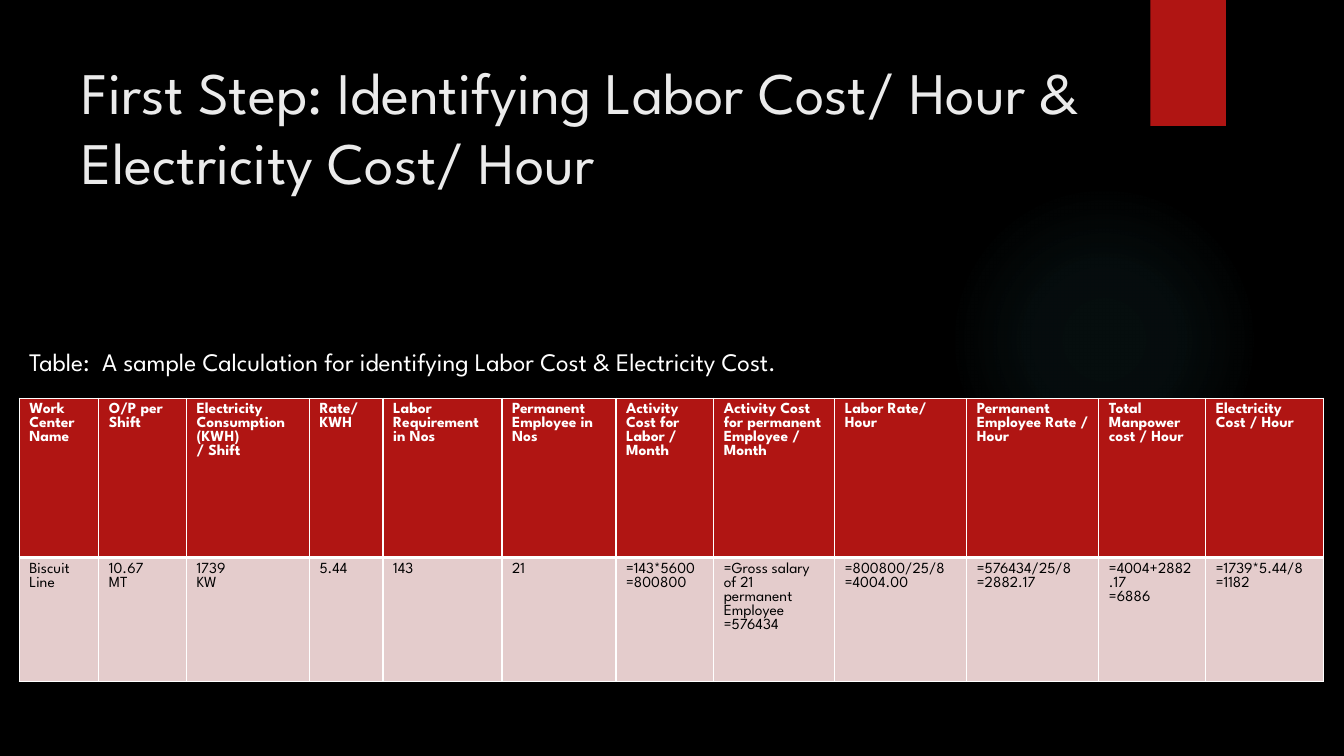
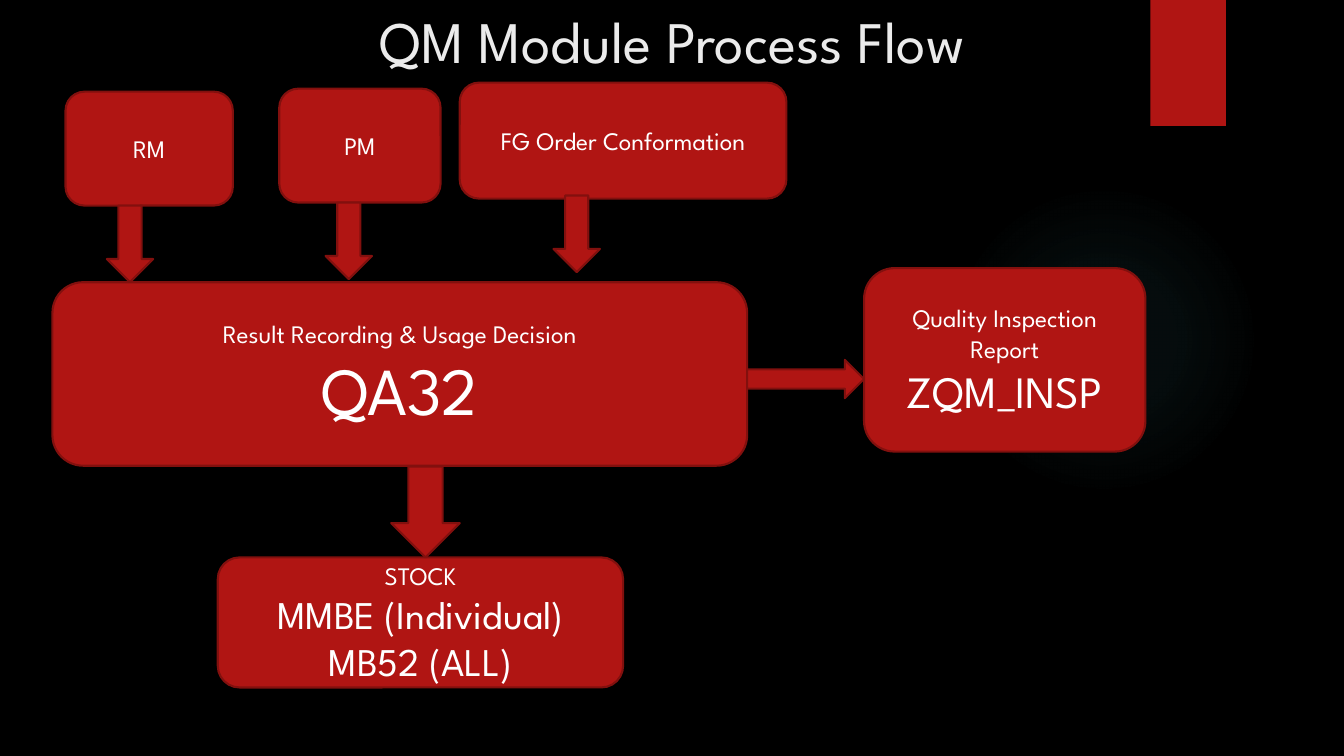
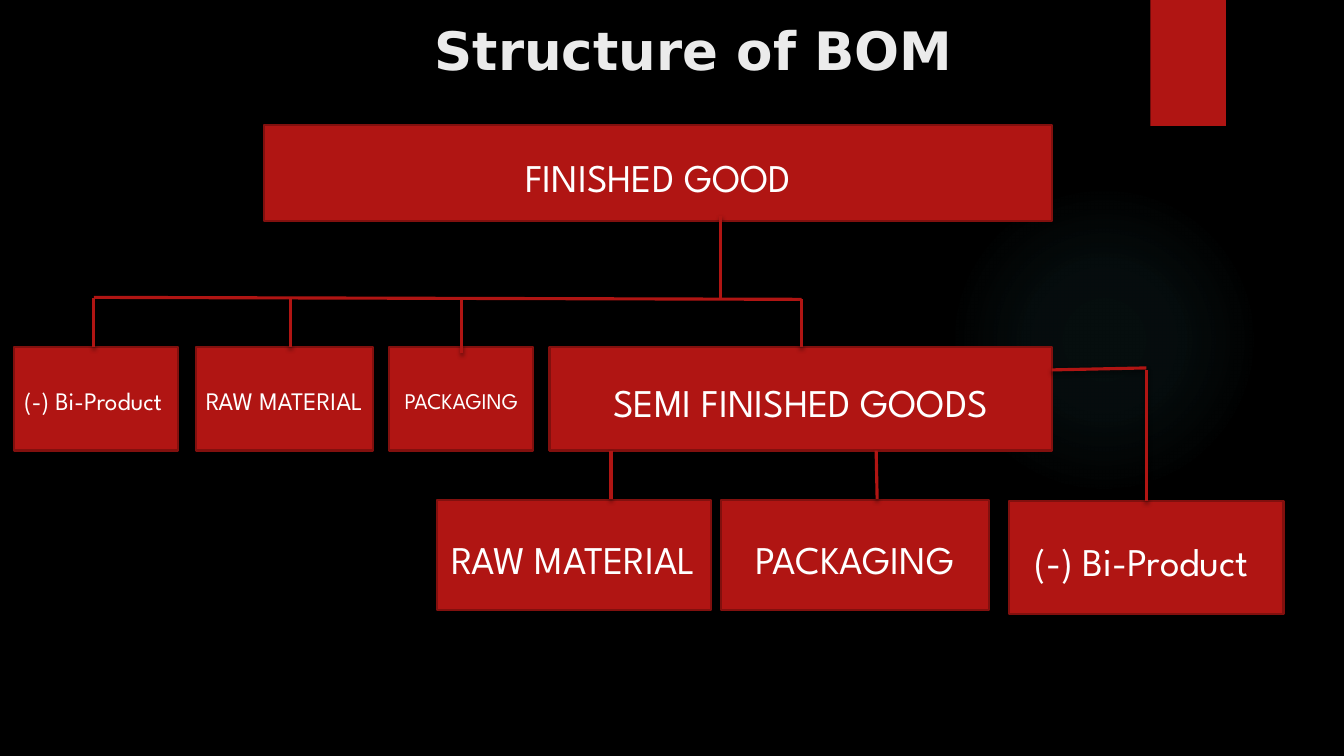
"""Builds three dark slides on costing, quality flow and bill of materials."""
from lxml import etree
from pptx import Presentation
from pptx.dml.color import RGBColor
from pptx.enum import shapes, text
from pptx.oxml import ns
from pptx.util import Inches, Pt

BLACK = RGBColor(0x00, 0x00, 0x00)
WHITE = RGBColor(0xFF, 0xFF, 0xFF)
PALE = RGBColor(0xEB, 0xEB, 0xEB)
RED = RGBColor(0xB0, 0x15, 0x13)
DARK = RGBColor(0x82, 0x10, 0x0E)
PINK = RGBColor(0xE4, 0xCC, 0xCC)
TEAL = RGBColor(0x50, 0xB9, 0xC1)
FONT = "League Spartan"
SANS = "DejaVu Sans"
KIND = shapes.MSO_SHAPE
MID = text.PP_ALIGN.CENTER
LEFT = text.PP_ALIGN.LEFT

WIDTHS = [0.79, 0.87, 1.22, 0.73, 1.18, 1.13, 0.97, 1.2, 1.31, 1.31, 1.06, 1.17]
HEIGHTS = [1.58, 1.23]
ROWS = [
    ["Work Center\nName", "O/P per Shift", "Electricity Consumption\n(KWH)\n/ Shift",
     "Rate/ KWH", "Labor Requirement in Nos", "Permanent Employee in Nos",
     "Activity Cost for Labor / Month", "Activity Cost for permanent Employee / Month",
     "Labor Rate/ Hour", "Permanent Employee Rate / Hour",
     "Total Manpower cost / Hour", "Electricity Cost / Hour"],
    ["Biscuit\nLine", "10.67\nMT", "1739\nKW", "5.44", "143", "21",
     "=143*5600\n=800800", "=Gross salary of 21 permanent Employee\n=576434",
     "=800800/25/8\n=4004.00", "=576434/25/8\n=2882.17",
     "=4004+2882.17\n=6886", "=1739*5.44/8\n=1182"],
]
FLOW = [
    ((0.65, 0.91, 1.66, 1.13), "RM", [18]),
    ((2.77, 0.88, 1.6, 1.13), "PM", [18]),
    ((4.56, 0.82, 3.24, 1.15), "FG Order Conformation", [18]),
    ((0.52, 2.8, 6.89, 1.82), "Result Recording & Usage Decision\nQA32", [18, 48]),
    ((8.57, 2.66, 2.79, 1.82), "Quality Inspection Report\nZQM_INSP", [18, 32]),
    ((2.16, 5.53, 4.02, 1.29), "STOCK\nMMBE (Individual)\nMB52 (ALL)", [18, 28, 28]),
]
ARROWS = [
    (KIND.DOWN_ARROW, (1.06, 2.04, 0.46, 0.76)),
    (KIND.DOWN_ARROW, (3.23, 2.01, 0.46, 0.76)),
    (KIND.DOWN_ARROW, (5.49, 1.94, 0.46, 0.76)),
    (KIND.RIGHT_ARROW, (7.41, 3.57, 1.16, 0.38)),
    (KIND.DOWN_ARROW, (3.88, 4.63, 0.68, 0.9)),
]
PARTS = [
    ((2.62, 1.24, 7.81, 0.95), "FINISHED GOOD", 28),
    ((0.14, 3.44, 1.63, 1.03), "(-) Bi-Product ", 18),
    ((1.94, 3.44, 1.76, 1.03), "RAW MATERIAL ", 18),
    ((3.86, 3.44, 1.43, 1.03), "PACKAGING", 16),
    ((5.45, 3.44, 4.98, 1.03), "SEMI FINISHED GOODS", 28),
    ((4.33, 4.96, 2.72, 1.09), "RAW MATERIAL", 28),
    ((7.15, 4.96, 2.66, 1.09), "PACKAGING", 28),
    ((10.01, 4.97, 2.72, 1.12), "(-) Bi-Product ", 28),
]
LINKS = [
    (7.15, 2.14, 7.15, 2.98), (0.93, 2.95, 7.95, 2.97),
    (0.93, 2.96, 0.93, 3.44), (2.88, 2.96, 2.88, 3.44),
    (4.58, 2.98, 4.58, 3.5), (7.95, 2.97, 7.95, 3.44),
    (6.06, 4.47, 6.06, 4.95), (8.69, 4.47, 8.7, 4.95),
    (10.43, 3.67, 11.37, 3.65), (11.37, 3.67, 11.37, 4.97),
]


def node(root, tag, **attrs):
    """Add a drawing element below root."""
    item = etree.SubElement(root, ns.qn("a:" + tag))
    for name, value in attrs.items():
        item.set(name, str(value))
    return item


def tint(root, color, alpha=100):
    """Add a colour with its opacity in percent."""
    node(node(root, "srgbClr", val=color), "alpha", val=alpha * 1000)


def shade(props):
    """Give a shape or line a soft shadow below it."""
    drop = node(node(props, "effectLst"), "outerShdw", blurRad=Pt(3), dist=Pt(2),
                dir=5400000, rotWithShape=0)
    tint(drop, BLACK, 45)


def style(frame, words, sizes, color=WHITE, align=MID, font=FONT, bold=False):
    """Fill a text frame, with one size for each paragraph."""
    frame.text = words
    frame.word_wrap = True
    for para, size in zip(frame.paragraphs, sizes):
        para.alignment = align
        for run in para.runs:
            run.font.name = font
            run.font.size = Pt(size)
            run.font.bold = bold
            run.font.color.rgb = color


def label(slide, place, words, size, **look):
    """Add a text box."""
    box = slide.shapes.add_textbox(*map(Inches, place))
    style(box.text_frame, words, [size], **look)


def block(slide, kind, place, edge=DARK):
    """Add a red shape."""
    form = slide.shapes.add_shape(kind, *map(Inches, place))
    form.fill.solid()
    form.fill.fore_color.rgb = RED
    if edge is None:
        form.line.fill.background()
    else:
        form.line.color.rgb = edge
        form.line.width = Pt(1.5)
    form.shadow.inherit = False
    return form


def glow(slide):
    """Add the faint round light."""
    form = slide.shapes.add_shape(KIND.OVAL, *map(Inches, (9.41, 1.83, 3.08, 3.08)))
    form.line.fill.background()
    form.shadow.inherit = False
    form.fill.gradient()
    grad = form.element.spPr.find(ns.qn("a:gradFill"))
    for child in list(grad):
        grad.remove(child)
    stops = node(grad, "gsLst")
    for pos, alpha in ((0, 7), (36, 6), (69, 0)):
        tint(node(stops, "gs", pos=pos * 1000), TEAL, alpha)
    ring = node(grad, "path", path="circle")
    node(ring, "fillToRect", l=50000, t=50000, r=50000, b=50000)


def start(deck, title, place, size=42, **look):
    """Add a slide with its backdrop, band and title."""
    slide = deck.slides.add_slide(deck.slide_layouts[6])
    slide.background.fill.solid()
    slide.background.fill.fore_color.rgb = BLACK
    glow(slide)
    band = block(slide, KIND.RECTANGLE, (11.41, 0, 0.75, 1.25), edge=None)
    props = band.element.spPr
    props.remove(props.find(ns.qn("a:effectLst")))
    shade(props)
    label(slide, place, title, size, color=PALE, **look)
    return slide


def link(slide, ends):
    """Add a red line."""
    line = slide.shapes.add_connector(shapes.MSO_CONNECTOR.STRAIGHT, *map(Inches, ends))
    line.line.color.rgb = RED
    line.line.width = Pt(2.25)
    shade(line.element.spPr)


def edges(cell, base):
    """Draw white cell borders, with the bottom one base points wide."""
    props = cell._tc.get_or_add_tcPr()
    for spot, (side, width) in enumerate((("L", 1), ("R", 1), ("T", 1), ("B", base))):
        line = node(props, "ln" + side, w=Pt(width))
        tint(node(line, "solidFill"), WHITE)
        props.insert(spot, line)


def grid(slide, place):
    """Add the cost table."""
    table = slide.shapes.add_table(len(ROWS), len(WIDTHS), *map(Inches, place)).table
    for col, width in zip(table.columns, WIDTHS):
        col.width = Inches(width)
    looks = [(RED, WHITE, True, 3), (PINK, BLACK, False, 1)]
    for r, (fill, ink, bold, base) in enumerate(looks):
        table.rows[r].height = Inches(HEIGHTS[r])
        for c, words in enumerate(ROWS[r]):
            cell = table.cell(r, c)
            cell.fill.solid()
            cell.fill.fore_color.rgb = fill
            edges(cell, base)
            sizes = [11] * len(words.split("\n"))
            style(cell.text_frame, words, sizes, color=ink, align=LEFT, bold=bold)
            for para in cell.text_frame.paragraphs:
                para.line_spacing = Pt(10)


def costs(deck):
    """Build the cost slide."""
    slide = start(deck, "First Step: Identifying Labor Cost/ Hour & Electricity Cost/ Hour",
                  (0.71, 0.5, 10.29, 1.53), align=LEFT)
    grid(slide, (0.19, 3.95, sum(WIDTHS), sum(HEIGHTS)))
    label(slide, (0.19, 3.39, 10.05, 0.4),
          "Table:  A sample Calculation for identifying Labor Cost & Electricity Cost.",
          18, align=LEFT)


def flow(deck):
    """Build the process slide."""
    slide = start(deck, "QM Module Process Flow", (0.92, 0, 11.5, 1.12))
    for place, words, sizes in FLOW:
        box = block(slide, KIND.ROUNDED_RECTANGLE, place)
        style(box.text_frame, words, sizes)
    for kind, place in ARROWS:
        block(slide, kind, place)


def tree(deck):
    """Build the structure slide."""
    slide = start(deck, "Structure of BOM", (2.18, 0.13, 9.4, 1.44), size=37.8,
                  font=SANS, bold=True)
    for place, words, size in PARTS:
        box = block(slide, KIND.RECTANGLE, place)
        style(box.text_frame, words, [size])
        para = box.text_frame.paragraphs[0]
        para.line_spacing = 1.15
        para.space_after = Pt(10)
    for ends in LINKS:
        link(slide, ends)


def main():
    """Build and save the deck."""
    deck = Presentation()
    deck.slide_width = Inches(13.33)
    deck.slide_height = Inches(7.5)
    costs(deck)
    flow(deck)
    tree(deck)
    deck.save("out.pptx")


if __name__ == "__main__":
    main()
